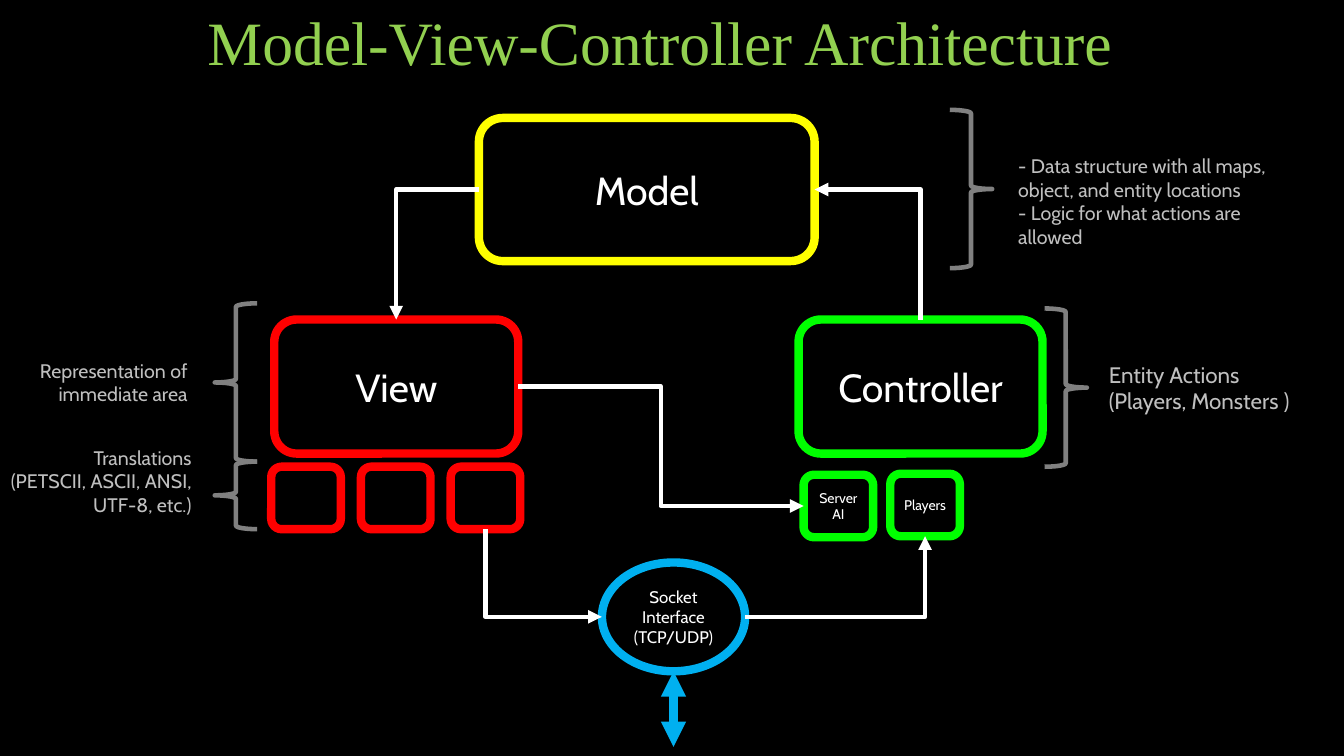
from dataclasses import dataclass

from lxml import etree
from pptx import Presentation
from pptx.dml.color import RGBColor
from pptx.enum.shapes import MSO_CONNECTOR, MSO_SHAPE
from pptx.enum.text import MSO_ANCHOR, PP_ALIGN
from pptx.oxml.ns import qn
from pptx.util import Inches, Pt

ROUND, OVAL, BRACE = MSO_SHAPE.ROUNDED_RECTANGLE, MSO_SHAPE.OVAL, MSO_SHAPE.LEFT_BRACE
ELBOW, STRAIGHT = MSO_CONNECTOR.ELBOW, MSO_CONNECTOR.STRAIGHT
LEFT, CENTER, RIGHT = PP_ALIGN.LEFT, PP_ALIGN.CENTER, PP_ALIGN.RIGHT
TOP, MIDDLE, BOTTOM = MSO_ANCHOR.TOP, MSO_ANCHOR.MIDDLE, MSO_ANCHOR.BOTTOM
AT_TOP, AT_LEFT, AT_BOTTOM, AT_RIGHT = range(4)


@dataclass(frozen=True)
class Theme:
    black: str = "000000"
    white: str = "FFFFFF"
    title: str = "92D050"
    model: str = "FFFF00"
    view: str = "FF0000"
    controller: str = "00FF00"
    socket: str = "00B0F0"
    brace: str = "808080"
    note: str = "BFBFBF"
    title_font: str = "Times New Roman"
    font: str = "Cabin"
    title_size: int = 44
    box_size: int = 28
    big_note_size: int = 16
    note_size: int = 14
    socket_size: int = 12
    tile_size: int = 10
    outline: float = 6
    thin: float = 3.25


T = Theme()


def rgb(value):
    return RGBColor.from_string(value)


def write(tf, text, size, color=T.white, font=T.font, align=LEFT, anchor=TOP, spacing=None):
    """Fill a text frame, one paragraph for each line of text."""
    tf.word_wrap = True
    tf.vertical_anchor = anchor
    for i, line in enumerate(text.split("\n")):
        p = tf.paragraphs[0] if i == 0 else tf.add_paragraph()
        p.alignment = align
        p.line_spacing = spacing
        r = p.add_run()
        r.text = line
        r.font.name, r.font.size = font, Pt(size)
        r.font.color.rgb = rgb(color)


def add_text(s, box, text, size, **fmt):
    sp = s.shapes.add_textbox(*map(Inches, box))
    write(sp.text_frame, text, size, **fmt)


def add_note(s, box, text, size=T.note_size, align=LEFT):
    add_text(s, box, text, size, color=T.note, align=align)


def add_outline(s, kind, box, color, width=T.outline, fill=None):
    sp = s.shapes.add_shape(kind, *map(Inches, box))
    sp.shadow.inherit = False
    if fill:
        sp.fill.solid()
        sp.fill.fore_color.rgb = rgb(fill)
    else:
        sp.fill.background()
    sp.line.color.rgb = rgb(color)
    sp.line.width = Pt(width)
    return sp


def add_box(s, box, color, text="", size=T.box_size, kind=ROUND, fill=T.black):
    sp = add_outline(s, kind, box, color, fill=fill)
    if text:
        write(sp.text_frame, text, size, align=CENTER, anchor=MIDDLE)
    return sp


def add_brace(s, x, y, h, rotation=0):
    sp = add_outline(s, BRACE, (x, y, 0.42, h), T.brace, T.thin)
    sp.rotation = rotation


def add_arrow(s, start, end=None, to=None, kind=ELBOW, color=T.white, width=T.thin,
              corner=False, ends=("tailEnd",)):
    """Join two (shape, side) pairs, or run from one to a point."""
    c = s.shapes.add_connector(kind, 0, 0, *map(Inches, to or (0, 0)))
    c.begin_connect(*start)
    if end:
        c.end_connect(*end)
    c.line.color.rgb = rgb(color)
    c.line.width = Pt(width)
    # An ellipse has eight connection sites, so its side numbers double
    for tag, joint in (("a:stCxn", start), ("a:endCxn", end)):
        if joint and joint[0].auto_shape_type == OVAL:
            next(c._element.iter(qn(tag))).set("idx", str(joint[1] * 2))
    spPr = c._element.spPr
    if corner:  # one bend: across first, then up or down
        spPr.find(qn("a:prstGeom")).set("prst", "bentConnector2")
    for name in ends:
        etree.SubElement(spPr.find(qn("a:ln")), qn(f"a:{name}"), type="triangle")
    etree.SubElement(spPr, qn("a:effectLst"))


def title(s, box):
    add_text(s, box, "Model-View-Controller Architecture", T.title_size, color=T.title,
             font=T.title_font, anchor=BOTTOM, spacing=0.9)


def model(s, box):
    x, y, w, h = box
    sp = add_box(s, box, T.model, "Model")
    add_brace(s, x + w + 1.34, y - 0.08, 1.57, 180)
    add_note(s, (x + w + 1.92, y + 0.31, 2.92, 1.04),
             "- Data structure with all maps, object, and entity locations\n"
             "- Logic for what actions are allowed")
    return sp


def view(s, box):
    x, y, w, h = box
    sp = add_box(s, box, T.view, "View")
    # Row of translation tiles
    tiles = [add_box(s, (x - 0.03 + 0.89 * i, y + h + 0.13, 0.69, 0.62), T.view)
             for i in range(3)]
    # Notes on the left
    add_brace(s, x - 0.59, y - 0.16, 1.57)
    add_note(s, (x - 2.86, y + 0.34, 2.1, 0.57),
             "Representation of immediate area", align=RIGHT)
    add_brace(s, x - 0.59, y + 1.41, 0.67)
    add_note(s, (x - 2.82, y + 1.2, 2.1, 0.81),
             "Translations\n(PETSCII, ASCII, ANSI, UTF-8, etc.)", align=RIGHT)
    return sp, tiles[-1]


def controller(s, box):
    x, y, w, h = box
    sp = add_box(s, box, T.controller, "Controller")
    add_brace(s, x + w + 0.02, y - 0.11, 1.57, 180)
    add_note(s, (x + w + 0.56, y + 0.36, 2.1, 0.64),
             "Entity Actions\n(Players, Monsters )", T.big_note_size)
    # Tiles for the two kinds of entity
    players, server = [
        add_box(s, (x + dx, y + h + dy, 0.69, 0.62), T.controller, text, T.tile_size)
        for dx, dy, text in ((0.91, 0.2, "Players"), (0.05, 0.21, "Server\nAI"))]
    return sp, server, players


def socket(s, box):
    x, y, w, h = box
    sp = add_box(s, box, T.socket, "Socket\nInterface\n(TCP/UDP)", T.socket_size,
                 kind=OVAL, fill=None)
    add_arrow(s, (sp, AT_BOTTOM), to=(x + w / 2, y + h + 0.75), kind=STRAIGHT,
              color=T.socket, width=T.outline, ends=("headEnd", "tailEnd"))
    return sp


def main():
    prs = Presentation()
    prs.slide_width, prs.slide_height = Inches(13.33), Inches(7.5)
    s = prs.slides.add_slide(prs.slide_layouts[6])
    s.background.fill.solid()
    s.background.fill.fore_color.rgb = rgb(T.black)

    # Regions
    title(s, (1.96, -0.42, 10, 1.25))
    model_box = model(s, (4.75, 1.17, 3.33, 1.42))
    view_box, last_tile = view(s, (2.72, 3.17, 2.42, 1.33))
    controller_box, server, players = controller(s, (7.92, 3.17, 2.42, 1.33))
    oval = socket(s, (5.97, 5.58, 1.42, 1.08))

    # Flow between the regions
    add_arrow(s, (model_box, AT_RIGHT), (controller_box, AT_TOP), corner=True,
              ends=("headEnd",))
    add_arrow(s, (model_box, AT_LEFT), (view_box, AT_TOP), corner=True)
    add_arrow(s, (oval, AT_RIGHT), (players, AT_BOTTOM), corner=True)
    add_arrow(s, (oval, AT_LEFT), (last_tile, AT_BOTTOM), corner=True, ends=("headEnd",))
    add_arrow(s, (view_box, AT_RIGHT), (server, AT_LEFT))

    prs.save("out.pptx")


if __name__ == "__main__":
    main()
